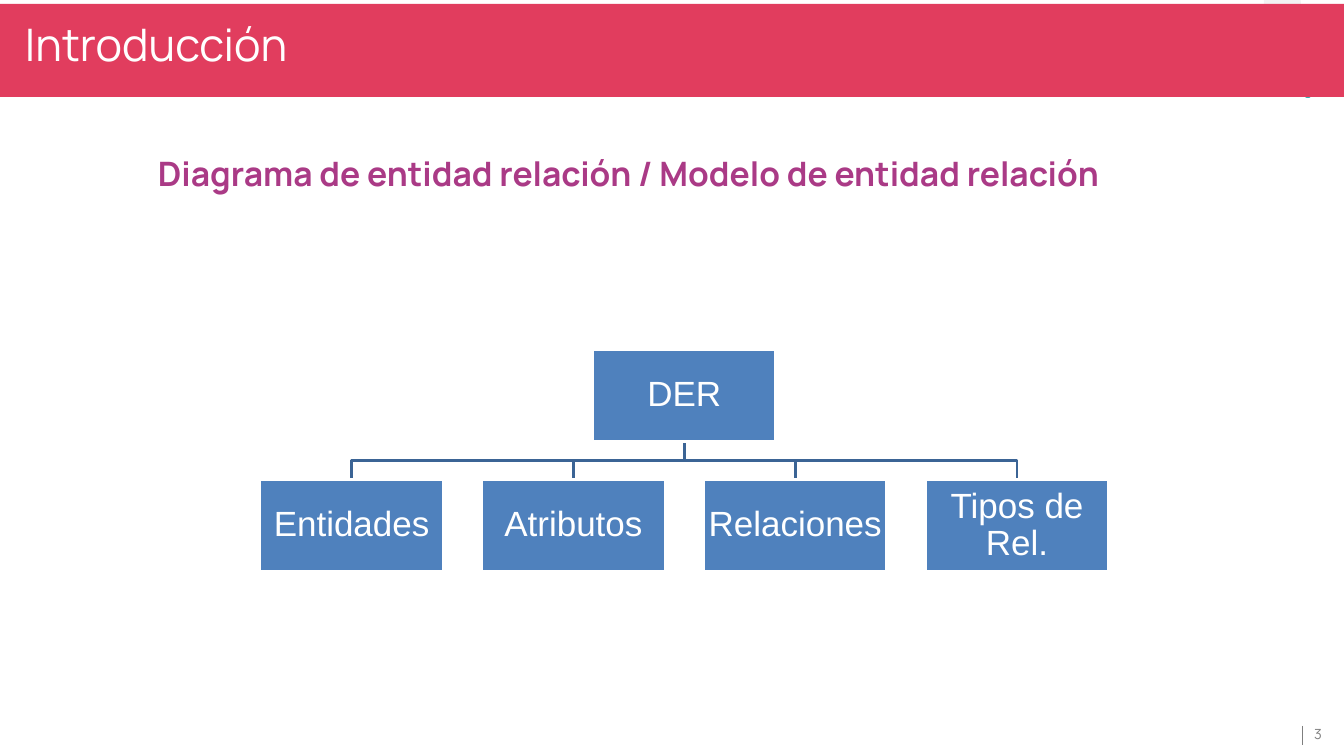
"""Build the introduction slide with its entity-relationship hierarchy."""
from dataclasses import dataclass

from pptx import Presentation
from pptx.dml.color import RGBColor
from pptx.enum.shapes import MSO_CONNECTOR, MSO_SHAPE
from pptx.enum.text import MSO_ANCHOR, MSO_AUTO_SIZE, PP_ALIGN
from pptx.oxml.ns import qn
from pptx.util import Cm, Pt
from lxml.etree import SubElement

WHITE = RGBColor(0xFF, 0xFF, 0xFF)
PINK = RGBColor(0xE1, 0x3D, 0x5E)
PURPLE = RGBColor(0xAA, 0x3A, 0x86)
TEAL = RGBColor(0x32, 0xAA, 0xAF)
PALE_GREY = RGBColor(0xF2, 0xF2, 0xF2)
GREY = RGBColor(0x7F, 0x7F, 0x7F)
BOX_BLUE = RGBColor(0x4F, 0x81, 0xBD)
LINE_BLUE = RGBColor(0x3B, 0x64, 0x95)

BOX_WIDTH = 4.62
BOX_HEIGHT = 2.31
CHILD_LEFT = 6.55
CHILD_TOP = 12.09
CHILD_STEP = 5.59
ROOT_TOP = 8.81
CHILD_LABELS = ("Entidades", "Atributos", "Relaciones", "Tipos de Rel.")


@dataclass(frozen=True)
class Area:
    left: float
    top: float
    width: float
    height: float

    def lengths(self) -> tuple:
        return Cm(self.left), Cm(self.top), Cm(self.width), Cm(self.height)

    @property
    def centre(self) -> float:
        return self.left + self.width / 2

    @property
    def bottom(self) -> float:
        return self.top + self.height


@dataclass(frozen=True)
class Style:
    size: float
    color: RGBColor
    font: str = "Manrope"
    bold: bool = False
    align: PP_ALIGN = PP_ALIGN.LEFT
    anchor: MSO_ANCHOR = MSO_ANCHOR.TOP
    inset_x: float = 0.25
    inset_y: float = 0.13
    spacing: float = 1.0


@dataclass(frozen=True)
class Node:
    label: str
    area: Area


TITLE_STYLE = Style(32, WHITE, inset_x=0.33, inset_y=0.33)
SUBTITLE_STYLE = Style(24, PURPLE, bold=True)
NUMBER_STYLE = Style(10, GREY, anchor=MSO_ANCHOR.MIDDLE, inset_x=0.1, inset_y=0.1)
NODE_STYLE = Style(25, WHITE, "Arial", align=PP_ALIGN.CENTER,
                   anchor=MSO_ANCHOR.MIDDLE, inset_x=0.05, inset_y=0.05, spacing=0.9)


def write_text(shape, text: str, style: Style) -> None:
    frame = shape.text_frame
    frame.word_wrap = True
    frame.auto_size = MSO_AUTO_SIZE.NONE
    frame.vertical_anchor = style.anchor
    frame.margin_left = frame.margin_right = Cm(style.inset_x)
    frame.margin_top = frame.margin_bottom = Cm(style.inset_y)
    paragraph = frame.paragraphs[0]
    paragraph.alignment = style.align
    paragraph.line_spacing = style.spacing
    run = paragraph.add_run()
    run.text = text
    run.font.name = style.font
    run.font.size = Pt(style.size)
    run.font.bold = style.bold
    run.font.color.rgb = style.color


def add_filled(slide, preset: MSO_SHAPE, area: Area, color: RGBColor,
               rotation: float = 0, adjustments: tuple = ()):
    shape = slide.shapes.add_shape(preset, *area.lengths())
    shape.shadow.inherit = False
    shape.fill.solid()
    shape.fill.fore_color.rgb = color
    shape.line.fill.background()
    shape.rotation = rotation
    for index, value in enumerate(adjustments):
        shape.adjustments[index] = value
    return shape


def add_text(slide, area: Area, text: str, style: Style) -> None:
    write_text(slide.shapes.add_textbox(*area.lengths()), text, style)


def add_branch(slide, parent: Area, child: Area) -> None:
    middle = (parent.bottom + child.top) / 2
    builder = slide.shapes.build_freeform(Cm(parent.centre), Cm(parent.bottom))
    builder.add_line_segments([
        (Cm(parent.centre), Cm(middle)),
        (Cm(child.centre), Cm(middle)),
        (Cm(child.centre), Cm(child.top)),
    ], close=False)
    branch = builder.convert_to_shape()
    branch.shadow.inherit = False
    branch.fill.background()
    branch.line.color.rgb = LINE_BLUE
    branch.line.width = Pt(2)


def add_node(slide, node: Node) -> None:
    box = add_filled(slide, MSO_SHAPE.RECTANGLE, node.area, BOX_BLUE)
    box.line.color.rgb = WHITE
    box.line.width = Pt(2)
    write_text(box, node.label, NODE_STYLE)


def add_hierarchy(slide) -> None:
    children = [
        Node(label, Area(CHILD_LEFT + CHILD_STEP * index, CHILD_TOP, BOX_WIDTH, BOX_HEIGHT))
        for index, label in enumerate(CHILD_LABELS)
    ]
    root_left = (children[0].area.left + children[-1].area.left) / 2
    root = Node("DER", Area(root_left, ROOT_TOP, BOX_WIDTH, BOX_HEIGHT))
    for child in reversed(children):
        add_branch(slide, root.area, child.area)
    for node in (root, *children):
        add_node(slide, node)


def add_page_number(slide) -> None:
    divider = slide.shapes.add_connector(
        MSO_CONNECTOR.STRAIGHT, Cm(32.82), Cm(18.29), Cm(32.82), Cm(18.77))
    divider.line.color.rgb = GREY
    divider.line.width = Pt(1)
    SubElement(divider.element.spPr, qn("a:effectLst"))
    add_text(slide, Area(33.02, 18.14, 0.85, 0.71), "3", NUMBER_STYLE)


def add_header(slide) -> None:
    title = slide.shapes.title
    decorations = (
        add_filled(slide, MSO_SHAPE.BLOCK_ARC, Area(31.85, -2.01, 4.04, 4.04),
                   PALE_GREY, 270, (108, 162.19, 0.23)),
        add_filled(slide, MSO_SHAPE.ROUND_2_SAME_RECTANGLE, Area(33.3, 1.14, 0.23, 1.52),
                   TEAL, 225, (0.5, 0)),
        add_filled(slide, MSO_SHAPE.RECTANGLE, Area(-0.08, 0.1, 34.01, 2.34), PINK),
    )
    for decoration in decorations:
        title.element.addprevious(decoration.element)
    title.left, title.top, title.width, title.height = Area(0.3, 0.1, 31.8, 1.63).lengths()
    write_text(title, "Introducción", TITLE_STYLE)


def main() -> None:
    presentation = Presentation()
    presentation.slide_width = Cm(33.87)
    presentation.slide_height = Cm(19.05)
    slide = presentation.slides.add_slide(presentation.slide_layouts[5])
    add_header(slide)
    add_page_number(slide)
    add_text(slide, Area(3.73, 3.73, 24.94, 1.27),
             "Diagrama de entidad relación / Modelo de entidad relación", SUBTITLE_STYLE)
    add_hierarchy(slide)
    presentation.save("out.pptx")


if __name__ == "__main__":
    main()
